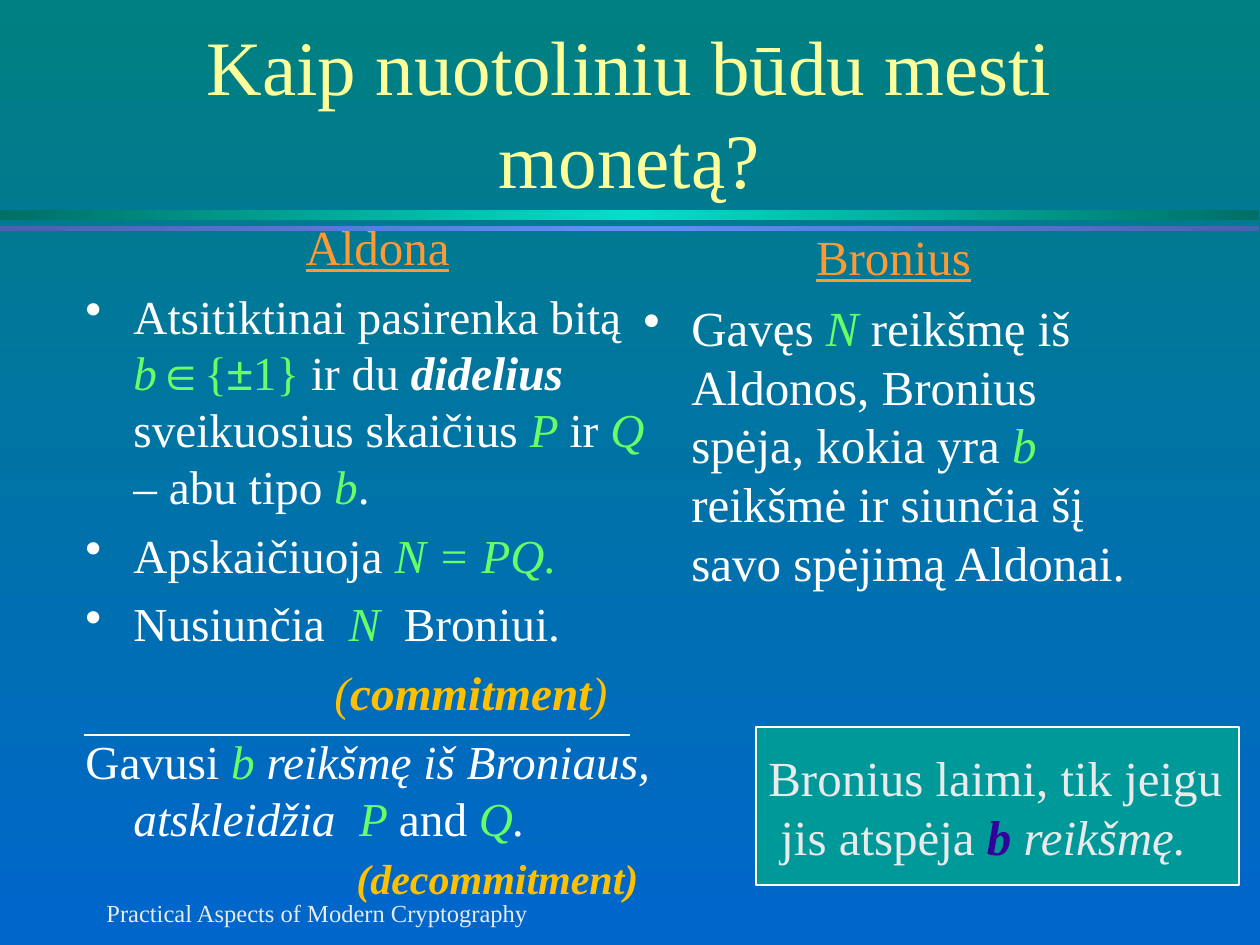
from copy import deepcopy
from dataclasses import dataclass

from lxml.etree import SubElement
from pptx import Presentation
from pptx.dml.color import RGBColor
from pptx.enum.shapes import MSO_CONNECTOR, MSO_SHAPE
from pptx.enum.text import MSO_ANCHOR, PP_ALIGN
from pptx.oxml.ns import qn
from pptx.util import Emu, Pt


@dataclass(frozen=True)
class Theme:
    """Colours, typeface and type sizes of the slide."""
    font: str = "Times New Roman"
    symbol_font: str = "Arial"
    background: tuple = ("008080", "0066CC")
    green_bar: tuple = ("006F65", "00DFCA", "006F65")
    blue_bar: tuple = ("4464B1", "618FFD", "4464B1")
    title: str = "FFFF99"
    heading: str = "FF9933"
    text: str = "FFFFFF"
    soft: str = "EAEAEA"
    math: str = "66FF66"
    accent: str = "FFC000"
    panel: str = "009999"
    bit: str = "330099"
    title_size: int = 44
    body_size: int = 28
    list_size: int = 27
    note_size: int = 24
    footer_size: int = 14


class SlideBuilder:
    """Holds the theme and the current slide, and draws each kind of element."""

    def __init__(self, theme, slide):
        self.theme = theme
        self.slide = slide

    @staticmethod
    def px(value):
        """Turn pixels into EMU."""
        return Emu(round(value * 914400 / 126))

    def gradient(self, fill, colors, angle=0):
        """Fill with evenly spaced gradient stops."""
        fill.gradient()
        fill.gradient_angle = angle
        first = fill.gradient_stops[0]._gs
        for _ in colors[2:]:
            first.addnext(deepcopy(first))
        for index, (stop, color) in enumerate(zip(fill.gradient_stops, colors)):
            stop.position = index / (len(colors) - 1)
            stop.color.rgb = RGBColor.from_string(color)

    def rectangle(self, *frame):
        """Add a plain rectangle without line or shadow."""
        box = self.slide.shapes.add_shape(MSO_SHAPE.RECTANGLE, *map(self.px, frame))
        box.shadow.inherit = False
        box.line.fill.background()
        return box

    def bar(self, top, height, colors):
        """Add a full-width gradient bar."""
        self.gradient(self.rectangle(0, top, 1259, height).fill, colors)

    def panel(self, *frame):
        """Add an outlined panel and return its text frame."""
        box = self.rectangle(*frame)
        box.fill.solid()
        box.fill.fore_color.rgb = RGBColor.from_string(self.theme.panel)
        box.line.color.rgb = RGBColor.from_string(self.theme.text)
        box.line.width = Pt(1)
        box.text_frame.word_wrap = False
        box.text_frame.vertical_anchor = MSO_ANCHOR.MIDDLE
        return box.text_frame

    def text_box(self, *frame, anchor=MSO_ANCHOR.TOP):
        """Add a wrapping text box and return its text frame."""
        box = self.slide.shapes.add_textbox(*map(self.px, frame))
        box.text_frame.word_wrap = True
        box.text_frame.vertical_anchor = anchor
        return box.text_frame

    def rule(self, left, right, y):
        """Add a thin horizontal line."""
        line = self.slide.shapes.add_connector(
            MSO_CONNECTOR.STRAIGHT, *map(self.px, (left, y, right, y)))
        line.line.color.rgb = RGBColor.from_string(self.theme.text)
        line.line.width = Pt(1)
        SubElement(line._element.spPr, qn("a:effectLst"))

    def style(self, font, color=None, size=None, name=None, **flags):
        """Set the given font properties only."""
        if color:
            font.color.rgb = RGBColor.from_string(color)
        if size:
            font.size = Pt(size)
        if name:
            font.name = name
        for flag, value in flags.items():
            setattr(font, flag, value)

    def paragraph(self, frame, spans, size, color, before=0, align=PP_ALIGN.LEFT,
                  indent=0, hanging=0, bullet=False, **flags):
        """Add a paragraph of plain strings and (text, style) spans."""
        para = frame.paragraphs[0]
        if para.runs:
            para = frame.add_paragraph()
        para.alignment = align
        para.space_before = Pt(before)
        properties = para._p.get_or_add_pPr()
        properties.set("marL", str(self.px(indent)))
        properties.set("indent", str(self.px(-hanging)))
        if bullet:
            tint = SubElement(SubElement(properties, qn("a:buClr")), qn("a:srgbClr"))
            tint.set("val", self.theme.text)
            SubElement(properties, qn("a:buChar")).set("char", "•")
        self.style(para.font, color, size, self.theme.font, **flags)
        for item in spans:
            text, look = (item, {}) if isinstance(item, str) else item
            span = para.add_run()
            span.text = text
            self.style(span.font, **look)


def main():
    """Build the coin-tossing slide."""
    theme = Theme()
    deck = Presentation()
    deck.slide_width, deck.slide_height = SlideBuilder.px(1260), SlideBuilder.px(945)
    page = SlideBuilder(theme, deck.slides.add_slide(deck.slide_layouts[6]))
    page.gradient(page.slide.background.fill, theme.background, 270)
    page.bar(210, 10, theme.green_bar)
    page.bar(226, 5, theme.blue_bar)

    math = {"color": theme.math, "italic": True}
    green = {"color": theme.math}
    symbol = {"color": theme.math, "name": theme.symbol_font}
    italic = {"italic": True}
    strong = {"bold": True, "italic": True}
    heading = {"size": theme.body_size, "color": theme.heading, "before": 7,
               "align": PP_ALIGN.CENTER, "underline": True}
    hanging = {"color": theme.text, "indent": 48, "hanging": 48}

    footer = page.text_box(94, 892, 473, 32)
    page.paragraph(footer, ["Practical Aspects of Modern Cryptography"],
                   theme.footer_size, theme.soft, before=9)
    title = page.text_box(94, 32, 1071, 158, anchor=MSO_ANCHOR.MIDDLE)
    page.paragraph(title, ["Kaip nuotoliniu būdu mesti monetą?"],
                   theme.title_size, theme.title, align=PP_ALIGN.CENTER)

    bronius = page.text_box(631, 220, 525, 609)
    page.paragraph(bronius, ["Bronius"], **heading)
    page.paragraph(bronius, [
        "Gavęs ", ("N ", math), "reikšmę iš Aldonos, Bronius spėja, kokia yra ",
        ("b ", math), "reikšmė ir siunčia šį savo spėjimą Aldonai.",
    ], theme.body_size, before=7, bullet=True, **hanging)

    aldona = page.text_box(73, 210, 609, 699)
    page.paragraph(aldona, ["Aldona"], **heading)
    steps = [
        ["Atsitiktinai pasirenka bitą ", ("b", math), ("∈", symbol), ("{", green),
         ("±", symbol), ("1} ", green), "ir du ", ("didelius ", strong),
         "sveikuosius skaičius ", ("P ", math), "ir ", ("Q", math),
         " – abu tipo ", ("b", math), "."],
        ["Apskaičiuoja ", ("N = PQ.", math)],
        ["Nusiunčia ", (" N  ", math), "Broniui."],
    ]
    for step in steps:
        page.paragraph(aldona, step, theme.list_size, before=6.8, bullet=True, **hanging)
    page.paragraph(aldona, ["(", ("commitment", {"bold": True}), ")"],
                   theme.list_size, theme.accent, before=6.8, indent=249, italic=True)
    page.paragraph(aldona, [
        "Gavusi ", ("b ", math), ("reikšmę iš Broniaus, atskleidžia  ", italic),
        ("P ", math), "and ", ("Q", math), (".", italic),
    ], theme.list_size, before=7, **hanging)
    page.paragraph(aldona, ["(decommitment)"], theme.note_size, theme.accent,
                   before=4, indent=271, bold=True, italic=True)
    page.rule(84, 630, 735)

    verdict = page.panel(756, 727, 483, 158)
    page.paragraph(verdict, ["Bronius laimi, tik jeigu"], theme.body_size, theme.soft)
    page.paragraph(verdict, [
        "jis atspėja ", ("b", {"color": theme.bit, **strong}), (" reikšmę.", italic),
    ], theme.body_size, theme.soft, indent=12)
    deck.save("out.pptx")


if __name__ == "__main__":
    main()
